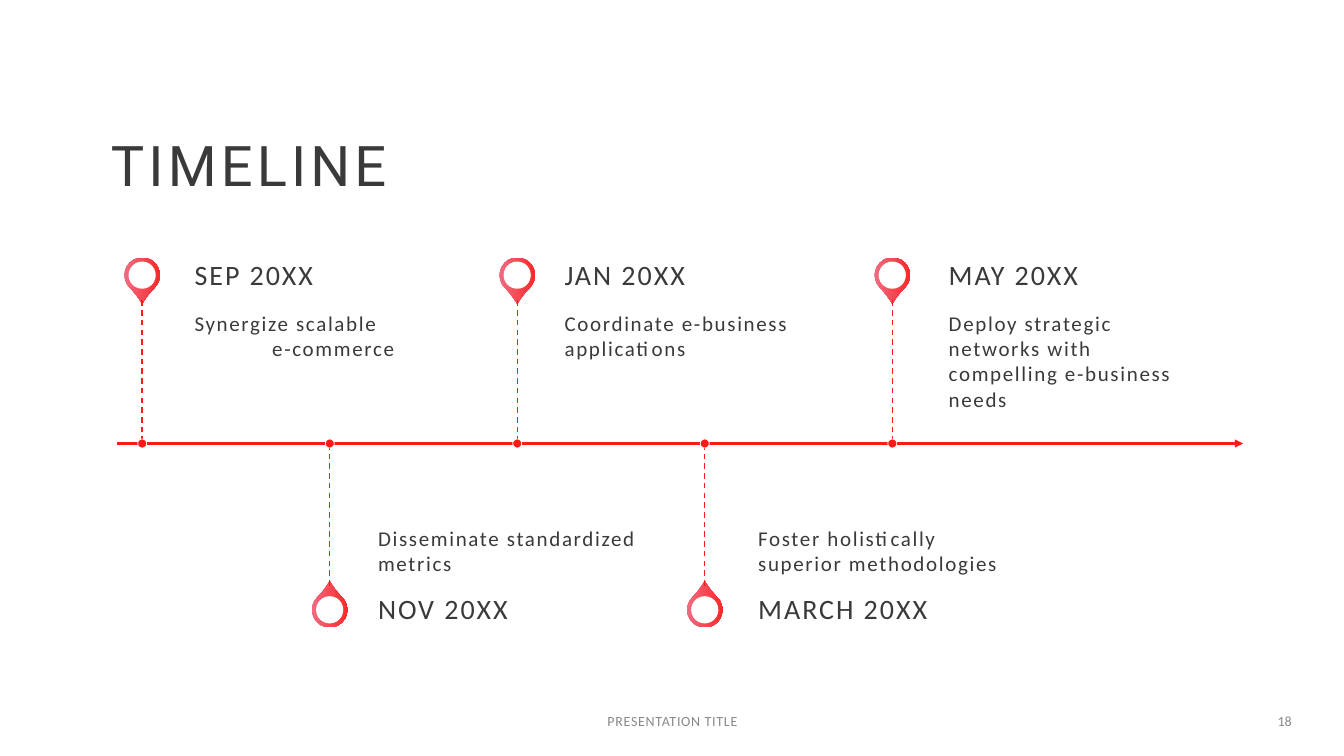
from lxml.etree import SubElement
from pptx import Presentation
from pptx.dml.color import RGBColor
from pptx.enum.dml import MSO_LINE
from pptx.enum.shapes import MSO_CONNECTOR, MSO_SHAPE
from pptx.enum.text import MSO_ANCHOR, PP_ALIGN
from pptx.oxml.ns import qn
from pptx.util import Pt

PX = 9144
COLORS = {"ink": "3A3A3A", "red": "FD1B17", "pink": "EE7993", "white": "FFFFFF", "gray": "898989"}
AXIS_Y = 440
FIRST_X = 141
STEP_X = 186
HANGING = 77
MILESTONES = [
    ("SEP 20XX", "Synergize scalable\ve-commerce", 193, 254),
    ("NOV 20XX", "Disseminate standardized metrics", 375, 263),
    ("JAN 20XX", "Coordinate e-business applications", 560, 259),
    ("MARCH 20XX", "Foster holistically superior methodologies", 752, 253),
    ("MAY 20XX", "Deploy strategic networks with compelling e-business needs", 941, 253),
]


def px(*values):
    return [value * PX for value in values]


def color(name):
    return RGBColor.from_string(COLORS[name])


def format_text(shape, text, size, ink="ink", font="Calibri", spacing=0.0,
                align=PP_ALIGN.LEFT, anchor=MSO_ANCHOR.MIDDLE, insets=(10, 5, 10, 5), leading=1.0):
    frame = shape.text_frame
    frame.text = text
    frame.word_wrap = True
    frame.vertical_anchor = anchor
    frame.margin_left, frame.margin_top, frame.margin_right, frame.margin_bottom = px(*insets)
    paragraph = frame.paragraphs[0]
    paragraph.alignment = align
    paragraph.line_spacing = leading
    for run in paragraph.runs:
        run.font.size = Pt(size)
        run.font.name = font
        run.font.color.rgb = color(ink)
        run.font._element.set("spc", str(round(spacing * 100)))
    return paragraph


def add_text(slide, box, text, size, **style):
    return format_text(slide.shapes.add_textbox(*px(*box)), text, size, **style)


def add_line(slide, start, end, width):
    line = slide.shapes.add_connector(MSO_CONNECTOR.STRAIGHT, *px(*start, *end))
    line.line.color.rgb = color("red")
    line.line.width = Pt(width)
    SubElement(line._element.spPr, qn("a:effectLst"))
    return line


def add_axis(slide):
    axis = add_line(slide, (116, AXIS_Y), (1233, AXIS_Y), 1.5)
    SubElement(axis.line._get_or_add_ln(), qn("a:tailEnd"), type="triangle")


def add_circle(slide, x, y, diameter, fill):
    left, top = x - diameter / 2, y - diameter / 2
    circle = slide.shapes.add_shape(MSO_SHAPE.OVAL, *[round(v) for v in px(left, top, diameter, diameter)])
    circle.shadow.inherit = False
    circle.fill.solid()
    circle.fill.fore_color.rgb = color(fill)
    circle.line.fill.background()
    return circle


def add_pin(slide, x, y, rotation):
    pin = slide.shapes.add_shape(MSO_SHAPE.TEAR, *[round(v) for v in px(x - 17.5, y - 17.5, 35, 35)])
    pin.shadow.inherit = False
    pin.adjustments[0] = 1.15
    pin.rotation = rotation
    pin.line.fill.background()
    pin.fill.gradient()
    pin.fill.gradient_angle = 0
    for stop, name in zip(pin.fill.gradient_stops, ("pink", "red")):
        stop.color.rgb = color(name)
    pin._element.spPr.find(qn("a:gradFill")).set("rotWithShape", "0")
    add_circle(slide, x, y, 27, "white")


def add_milestone(slide, index, date, description, left, width):
    x = FIRST_X + index * STEP_X
    above = index % 2 == 0
    if above:
        pin_y, rotation, date_top, body_top, stem_end = 273, 135, 249, 298, 298
        anchor, insets = MSO_ANCHOR.TOP, (0, 10, 10, 16)
    else:
        pin_y, rotation, date_top, body_top, stem_end = 605, 315, 581, AXIS_Y, 581
        anchor, insets = MSO_ANCHOR.BOTTOM, (0, 16, 0, 10)
    add_pin(slide, x, pin_y, rotation)
    paragraph = add_text(slide, (left, body_top, width, 141), description, 15,
                         spacing=1.2, anchor=anchor, insets=insets)
    if "\v" in description:
        properties = paragraph._p.get_or_add_pPr()
        properties.set("marL", str(HANGING * PX))
        properties.set("indent", str(-HANGING * PX))
    add_text(slide, (left, date_top, width, 50), date, 20, spacing=1.4,
             insets=(0, 0, 14, 0), leading=0.9)
    stem = add_line(slide, (x, stem_end), (x, AXIS_Y), 1)
    stem.line.dash_style = MSO_LINE.DASH
    dot = add_circle(slide, x, AXIS_Y, 9, "red")
    dot.line.color.rgb = color("white")
    dot.line.width = Pt(0.5)


def main():
    presentation = Presentation()
    presentation.slide_width, presentation.slide_height = px(1333, 750)
    slide = presentation.slides.add_slide(presentation.slide_layouts[5])
    title = slide.shapes.title
    title.left, title.top, title.width, title.height = px(100, 108, 924, 118)
    format_text(title, "TIMELINE", 40, font="Roboto", spacing=3, leading=0.9)
    add_axis(slide)
    for index, milestone in enumerate(MILESTONES):
        add_milestone(slide, index, *milestone)
    add_text(slide, (442, 695, 450, 40), "PRESENTATION TITLE", 10, ink="gray",
             spacing=0.5, align=PP_ALIGN.CENTER)
    add_text(slide, (1123, 695, 168, 40), "18", 10, ink="gray", align=PP_ALIGN.RIGHT)
    presentation.save("out.pptx")


if __name__ == "__main__":
    main()
